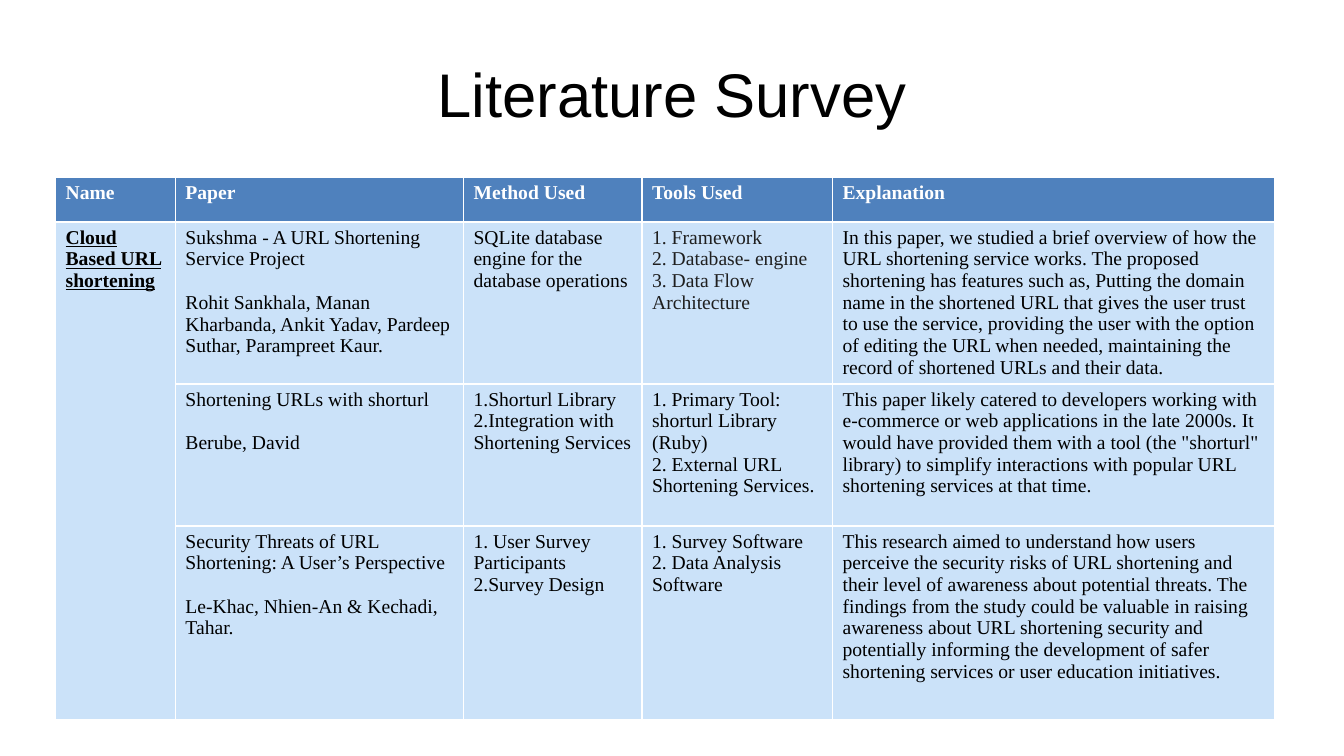
from lxml.etree import SubElement
from pptx import Presentation
from pptx.dml.color import RGBColor
from pptx.enum.text import MSO_ANCHOR, PP_ALIGN
from pptx.oxml.ns import qn
from pptx.util import Cm, Pt

BLACK = RGBColor(0x00, 0x00, 0x00)
WHITE = RGBColor(0xFF, 0xFF, 0xFF)
CHARCOAL = RGBColor(0x1F, 0x1F, 0x1F)
HEADER_BLUE = RGBColor(0x4F, 0x81, 0xBD)
PALE_BLUE = RGBColor(0xCB, 0xE2, 0xF9)

TITLE_FONT = "Arial"
TABLE_FONT = "Times New Roman"
AUTHOR_GAP = 15.5

COLUMN_WIDTHS = (3.02, 7.26, 4.5, 4.8, 11.15)
ROW_HEIGHTS = (1.14, 4.06, 3.58, 4.9)
BORDER_WIDTHS = {"a:lnL": 1, "a:lnR": 1, "a:lnT": 1.5, "a:lnB": 1.5}

HEADINGS = ("Name", "Paper", "Method Used", "Tools Used", "Explanation")
TOPIC = "Cloud Based URL shortening"
# Each row holds the paper with its authors, the methods, the tools and the explanation.
PAPERS = (
    (
        ("Sukshma - A URL Shortening Service Project",
         "Rohit Sankhala, Manan Kharbanda, Ankit Yadav, Pardeep Suthar, Parampreet Kaur."),
        ("SQLite database engine for the database operations",),
        ("1. Framework", "2. Database- engine", "3. Data Flow Architecture"),
        ("In this paper, we studied a brief overview of how the URL shortening service works. "
         "The proposed shortening has features such as, Putting the domain name in the "
         "shortened URL that gives the user trust to use the service, providing the user with "
         "the option of editing the URL when needed, maintaining the record of shortened URLs "
         "and their data.",),
    ),
    (
        ("Shortening URLs with shorturl", "Berube, David"),
        ("1.Shorturl Library", "2.Integration with Shortening Services"),
        ("1. Primary Tool: shorturl Library (Ruby)", "2. External URL Shortening Services."),
        ("This paper likely catered to developers working with e-commerce or web applications "
         "in the late 2000s. It would have provided them with a tool (the \"shorturl\" library) "
         "to simplify interactions with popular URL shortening services at that time.",),
    ),
    (
        ("Security Threats of URL Shortening: A User’s Perspective",
         "Le-Khac, Nhien-An & Kechadi, Tahar."),
        ("1. User Survey", "Participants", "2.Survey Design"),
        ("1. Survey Software", "2. Data Analysis Software"),
        ("This research aimed to understand how users perceive the security risks of URL "
         "shortening and their level of awareness about potential threats. The findings from "
         "the study could be valuable in raising awareness about URL shortening security and "
         "potentially informing the development of safer shortening services or user education "
         "initiatives.",),
    ),
)


def write_text(text_frame, lines, font=TABLE_FONT, size=14, color=BLACK, bold=False,
               underline=False, align=PP_ALIGN.LEFT, gap=0):
    """Write one paragraph per line, with gap points between paragraphs."""
    for index, line in enumerate(lines):
        paragraph = text_frame.add_paragraph() if index else text_frame.paragraphs[0]
        paragraph.alignment = align
        paragraph.space_before = Pt(gap if index else 0)
        run = paragraph.add_run()
        run.text = line
        run.font.name = font
        run.font.size = Pt(size)
        run.font.bold = bold
        run.font.underline = underline
        run.font.color.rgb = color


def style_cell(cell, fill):
    properties = cell._tc.get_or_add_tcPr()
    for tag, width in BORDER_WIDTHS.items():
        line = SubElement(properties, qn(tag), w=str(Pt(width)))
        solid_fill = SubElement(line, qn("a:solidFill"))
        SubElement(solid_fill, qn("a:srgbClr"), val=str(WHITE))
    cell.fill.solid()
    cell.fill.fore_color.rgb = fill


def add_title(slide, left, top, width, height):
    title = slide.shapes.title
    title.left, title.top, title.width, title.height = left, top, width, height
    title.text_frame.vertical_anchor = MSO_ANCHOR.MIDDLE
    write_text(title.text_frame, ["Literature Survey"], font=TITLE_FONT, size=44,
               align=PP_ALIGN.CENTER)


def add_survey_table(slide, left, top):
    table = slide.shapes.add_table(
        len(ROW_HEIGHTS), len(COLUMN_WIDTHS), left, top,
        Cm(sum(COLUMN_WIDTHS)), Cm(sum(ROW_HEIGHTS))).table
    table.horz_banding = False
    for column, width in zip(table.columns, COLUMN_WIDTHS):
        column.width = Cm(width)
    for index, (row, height) in enumerate(zip(table.rows, ROW_HEIGHTS)):
        row.height = Cm(height)
        for cell in row.cells:
            style_cell(cell, PALE_BLUE if index else HEADER_BLUE)

    for column, heading in enumerate(HEADINGS):
        write_text(table.cell(0, column).text_frame, [heading], color=WHITE, bold=True)

    topic_cell = table.cell(1, 0)
    topic_cell.merge(table.cell(len(PAPERS), 0))
    write_text(topic_cell.text_frame, [TOPIC], bold=True, underline=True)

    for row, (paper, methods, tools, explanation) in enumerate(PAPERS, start=1):
        write_text(table.cell(row, 1).text_frame, paper, gap=AUTHOR_GAP)
        write_text(table.cell(row, 2).text_frame, methods)
        write_text(table.cell(row, 3).text_frame, tools,
                   color=CHARCOAL if row == 1 else BLACK)
        write_text(table.cell(row, 4).text_frame, explanation)


def main():
    presentation = Presentation()
    presentation.slide_width = Cm(33.87)
    presentation.slide_height = Cm(19.05)
    slide = presentation.slides.add_slide(presentation.slide_layouts[5])
    add_title(slide, Cm(1.7), Cm(0.76), Cm(30.48), Cm(3.18))
    add_survey_table(slide, Cm(1.4), Cm(4.45))
    presentation.save("out.pptx")


if __name__ == "__main__":
    main()
